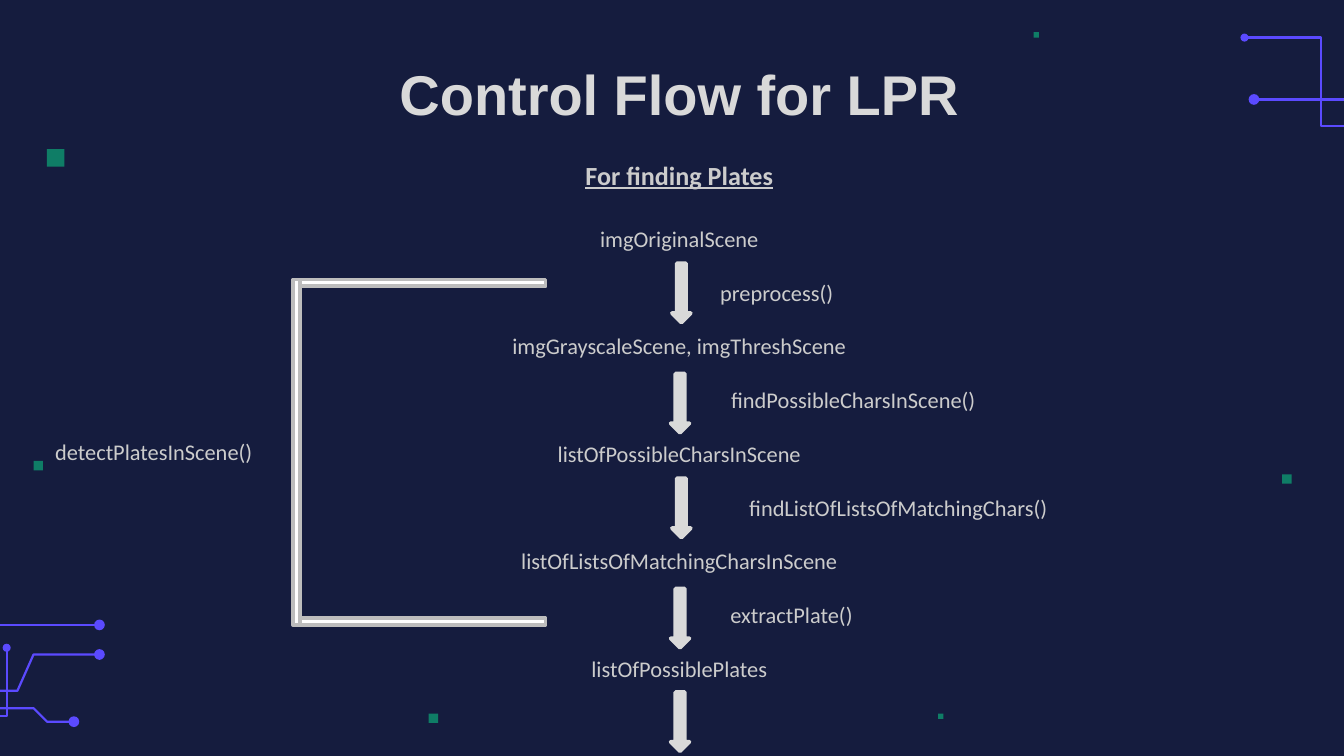
from dataclasses import dataclass

from lxml import etree
from pptx import Presentation
from pptx.dml.color import RGBColor
from pptx.enum import shapes, text
from pptx.oxml import ns
from pptx.util import Inches, Pt


@dataclass(frozen=True)
class Theme:
    background: str = "151C3E"
    trace: str = "5B4AFF"
    square: str = "08FF9D"
    square_alpha: int = 43
    title: str = "D9D9D9"
    body: str = "CCCCCC"
    arrow: str = "D9D9D9"
    bracket: str = "FFFFFF"
    bracket_edge: str = "BDBDBD"
    title_font: str = "Arial"
    body_font: str = "Calibri"
    title_size: int = 30
    heading_size: int = 14
    body_size: int = 12
    row_pitch: float = 28.8


THEME = Theme()
SHAPE = shapes.MSO_SHAPE

# Points run from the slide edge to the node at the end of the trace
TRACES = [
    ([(0, 4.65), (0.74, 4.65)], 0.08),
    ([(0, 5.14), (0.13, 5.14), (0.25, 4.87), (0.74, 4.87)], 0.08),
    ([(0, 5.33), (0.05, 5.33), (0.05, 4.82)], 0.06),
    ([(0, 5.27), (0.25, 5.27), (0.35, 5.37), (0.55, 5.37)], 0.08),
    ([(10, 0.94), (9.83, 0.94), (9.83, 0.28), (9.26, 0.28)], 0.06),
    ([(10, 0.74), (9.33, 0.74)], 0.08),
]

# Left, top, side
SQUARES = [
    (0.35, 1.11, 0.13), (0.25, 3.43, 0.07), (9.54, 3.53, 0.07),
    (7.69, 0.24, 0.04), (6.98, 5.31, 0.04), (3.19, 5.31, 0.07),
]

# Text and left indent; function calls sit to the right of the arrows
FLOW = [
    ("imgOriginalScene", 0),
    ("preprocess()", 1.45),
    ("imgGrayscaleScene, imgThreshScene", 0),
    ("findPossibleCharsInScene()", 2.59),
    ("listOfPossibleCharsInScene", 0),
    ("findListOfListsOfMatchingChars()", 3.26),
    ("listOfListsOfMatchingCharsInScene", 0),
    ("extractPlate()", 1.67),
    ("listOfPossiblePlates", 0),
]

ARROWS = [(5, 1.96), (4.99, 2.78), (5, 3.56), (4.99, 4.38), (4.99, 5.15)]
BRACKET = [(2.21, 2.08, 1.85, 0.05), (2.21, 4.6, 1.85, 0.05), (2.18, 2.08, 0.05, 2.57)]


def rgb(value):
    return RGBColor.from_string(value)


def add_filled(s, kind, box, fill, edge=None):
    sp = s.shapes.add_shape(kind, *map(Inches, box))
    sp.shadow.inherit = False
    sp.fill.solid()
    sp.fill.fore_color.rgb = rgb(fill)
    if edge:
        sp.line.color.rgb = rgb(edge)
        sp.line.width = Pt(2)
        etree.SubElement(sp.line._get_or_add_ln(), ns.qn("a:round"))
    else:
        sp.line.fill.background()
    return sp


def add_trace(s, points, node):
    corners = [(Inches(x), Inches(y)) for x, y in points]
    if len(corners) == 2:
        sp = s.shapes.add_connector(shapes.MSO_CONNECTOR.STRAIGHT, *corners[0], *corners[1])
        etree.SubElement(sp._element.spPr, ns.qn("a:effectLst"))
    else:
        builder = s.shapes.build_freeform(*corners[0])
        builder.add_line_segments(corners[1:], close=False)
        sp = builder.convert_to_shape()
        sp.shadow.inherit = False
        sp.fill.background()
    sp.line.color.rgb = rgb(THEME.trace)
    sp.line.width = Pt(1.2)
    x, y = points[-1]
    add_filled(s, SHAPE.OVAL, (x - node / 2, y - node / 2, node, node), THEME.trace)


def add_square(s, x, y, side):
    sp = add_filled(s, SHAPE.RECTANGLE, (x, y, side, side), THEME.square)
    color = sp.fill._xPr.find(".//" + ns.qn("a:srgbClr"))
    etree.SubElement(color, ns.qn("a:alpha"), val=str(THEME.square_alpha * 1000))


def style(p, font, size, color, bold=False):
    p.alignment = text.PP_ALIGN.CENTER
    p.font.name = font
    p.font.size = Pt(size)
    p.font.color.rgb = rgb(color)
    p.font.bold = bold


def add_title(s, title):
    sp = s.shapes.title
    sp.left, sp.top, sp.width, sp.height = map(Inches, (0.92, 0.34, 8.27, 0.71))
    tf = sp.text_frame
    tf.text = title
    tf.vertical_anchor = text.MSO_ANCHOR.MIDDLE
    style(tf.paragraphs[0], THEME.title_font, THEME.title_size, THEME.title, bold=True)


def add_flow(s, heading, rows):
    tf = s.shapes.add_textbox(*map(Inches, (0.92, 1.05, 8.27, 4.16))).text_frame
    tf.word_wrap = True
    tf.margin_left = tf.margin_right = tf.margin_top = tf.margin_bottom = Inches(0.1)
    p = tf.paragraphs[0]
    p.text = heading
    p.line_spacing = 1.15
    style(p, THEME.body_font, THEME.heading_size, THEME.body, bold=True)
    p.font.underline = True
    for i, (label, indent) in enumerate(rows):
        p = tf.add_paragraph()
        p.text = label
        p.line_spacing = Pt(THEME.row_pitch)
        p.space_before = Pt(0 if i else 4)
        style(p, THEME.body_font, THEME.body_size, THEME.body)
        p._p.get_or_add_pPr().set("marL", str(Inches(indent)))


def add_label(s, label, box):
    tf = s.shapes.add_textbox(*map(Inches, box)).text_frame
    tf.word_wrap = False
    p = tf.paragraphs[0]
    p.text = label
    style(p, THEME.body_font, THEME.body_size, THEME.body)


def main():
    # Widescreen slide
    prs = Presentation()
    prs.slide_width = Inches(10)
    prs.slide_height = prs.slide_width * 9 // 16
    s = prs.slides.add_slide(prs.slide_layouts[5])
    s.background.fill.solid()
    s.background.fill.fore_color.rgb = rgb(THEME.background)

    # Circuit decoration
    for points, node in TRACES:
        add_trace(s, points, node)
    for square in SQUARES:
        add_square(s, *square)

    # Title and flow text
    add_title(s, "Control Flow for LPR")
    add_flow(s, "For finding Plates", FLOW)

    # Arrows between the steps
    for x, y in ARROWS:
        add_filled(s, SHAPE.DOWN_ARROW, (x, y, 0.14, 0.44), THEME.arrow, THEME.arrow)

    # Bracket around the enclosing function
    for bar in BRACKET:
        add_filled(s, SHAPE.RECTANGLE, bar, THEME.bracket, THEME.bracket_edge)
    add_label(s, "detectPlatesInScene()", (0.12, 3.21, 2.05, 0.3))

    prs.save("out.pptx")


if __name__ == "__main__":
    main()
